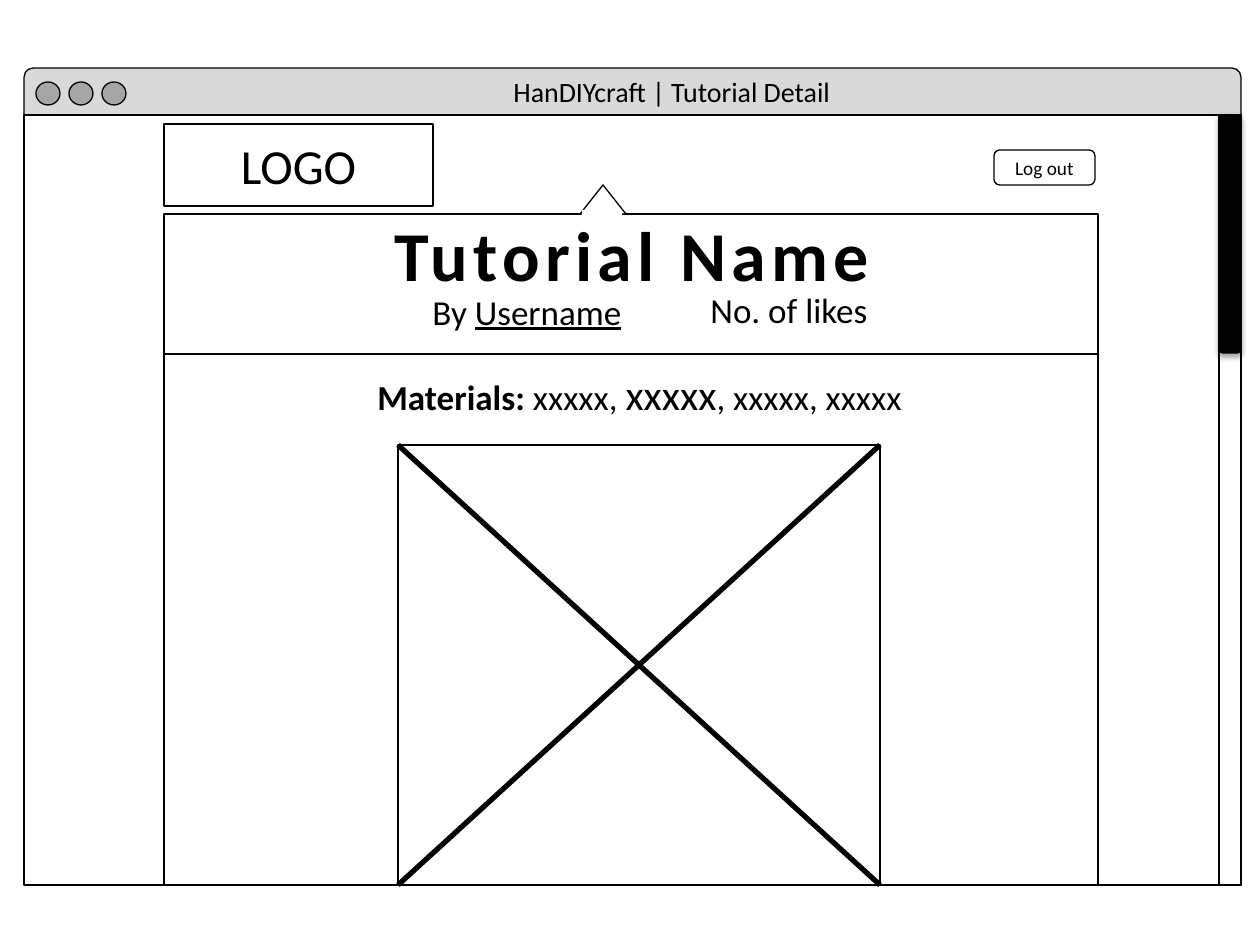
import pptx
import pptx.util
import pptx.dml.color
import pptx.enum.shapes
import pptx.enum.text
import pptx.oxml
import pptx.oxml.ns

KIND = pptx.enum.shapes.MSO_SHAPE
ALIGN = pptx.enum.text.PP_ALIGN
ANCHOR = pptx.enum.text.MSO_ANCHOR
PX = 914400 / 126
BLACK, WHITE, LIGHT, GREY = "000000", "FFFFFF", "D9D9D9", "A6A6A6"


def tint(color, code):
    """Set a font or line colour from a hex string."""
    color.rgb = pptx.dml.color.RGBColor.from_string(code)


def draw(kind, box, fill=WHITE, line=BLACK):
    shape = slide.shapes.add_shape(kind, *[round(n * PX) for n in box])
    shape.shadow.inherit = False
    if fill:
        shape.fill.solid()
        tint(shape.fill.fore_color, fill)
    else:
        shape.fill.background()
    if line:
        tint(shape.line.color, line)
        shape.line.width = pptx.util.Pt(0.75)
    else:
        shape.line.fill.background()
    return shape


deck = pptx.Presentation()
deck.slide_width, deck.slide_height = round(1260 * PX), round(945 * PX)
slide = deck.slides.add_slide(deck.slide_layouts[5])

# Browser window
draw(KIND.ROUNDED_RECTANGLE, (24, 68, 1217, 55), LIGHT)
draw(KIND.RECTANGLE, (24, 115, 1217, 770))
for step in range(3):
    draw(KIND.OVAL, (36 + 33 * step, 82, 24, 23), GREY)

# Page panel and scroll bar
draw(KIND.RECTANGLE, (164, 214, 934, 671))
draw(KIND.RECTANGLE, (1219, 115, 22, 770))
thumb = draw(KIND.ROUNDED_RECTANGLE, (1219, 115, 22, 238), BLACK)
glow = pptx.oxml.parse_xml(
    '<a:outerShdw %s blurRad="39370" dist="22860" dir="5400000" rotWithShape="0">'
    '<a:srgbClr val="000000"><a:alpha val="35000"/></a:srgbClr></a:outerShdw>'
    % pptx.oxml.ns.nsdecls("a"))
thumb.element.spPr.find(pptx.oxml.ns.qn("a:effectLst")).append(glow)

# Image area and rules: x1, y1, x2, y2, width
draw(KIND.RECTANGLE, (398, 445, 482, 440), None)
for *ends, width in [
    (164, 354, 1098, 354, 1),
    (398, 445, 880, 885, 3),
    (398, 885, 880, 445, 3),
]:
    rule = slide.shapes.add_connector(
        pptx.enum.shapes.MSO_CONNECTOR.STRAIGHT, *[round(n * PX) for n in ends])
    tint(rule.line.color, BLACK)
    rule.line.width = pptx.util.Pt(width)
    rule.element.spPr.append(
        pptx.oxml.parse_xml("<a:effectLst %s/>" % pptx.oxml.ns.nsdecls("a")))

# Logo, button and pointer
logo = draw(KIND.RECTANGLE, (164, 124, 269, 82))
button = draw(KIND.ROUNDED_RECTANGLE, (994, 150, 101, 35), None)
for shape, text, size in [(logo, "LOGO", 28), (button, "Log out", 11)]:
    shape.text_frame.text = text
    shape.text_frame.vertical_anchor = ANCHOR.MIDDLE
    para = shape.text_frame.paragraphs[0]
    para.alignment = ALIGN.CENTER
    para.font.name, para.font.size = "Calibri", pptx.util.Pt(size)
    tint(para.font.color, BLACK)
draw(KIND.ISOSCELES_TRIANGLE, (580, 185, 46, 29))
draw(KIND.RECTANGLE, (582, 210, 40, 10), WHITE, None)

# Title
title = slide.shapes.title
title.element.getparent().append(title.element)
title.left, title.top, title.width, title.height = [
    round(n * PX) for n in (382, 205, 524, 97)]
frame = title.text_frame
frame.text = "Tutorial Name"
frame.auto_size = pptx.enum.text.MSO_AUTO_SIZE.NONE
frame.vertical_anchor = ANCHOR.TOP
para = frame.paragraphs[0]
para.alignment = ALIGN.LEFT
para.font.name, para.font.size = "Calibri", pptx.util.Pt(40)
para.font.bold = True
tint(para.font.color, BLACK)
para.runs[0].font._element.set("spc", "300")

# Labels: box, size, runs of (text, what differs)
for box, size, runs in [
    ((501, 68, 412, 47), 16, [("HanDIYcraft | Tutorial Detail", {})]),
    ((420, 284, 217, 55), 20, [("By ", {}), ("Username", {"underline": True})]),
    ((698, 282, 185, 55), 20, [("No. of likes", {})]),
    ((365, 362, 554, 63), 20, [
        ("Materials: ", {"bold": True}), ("xxxxx, ", {}),
        ("xxxxx", {"size": pptx.util.Pt(24)}), (", xxxxx, xxxxx", {})]),
]:
    label = slide.shapes.add_textbox(*[round(n * PX) for n in box])
    para = label.text_frame.paragraphs[0]
    para.font.name, para.font.size = "Calibri", pptx.util.Pt(size)
    tint(para.font.color, BLACK)
    for text, style in runs:
        run = para.add_run()
        run.text = text
        for key, value in style.items():
            setattr(run.font, key, value)

deck.save("out.pptx")
